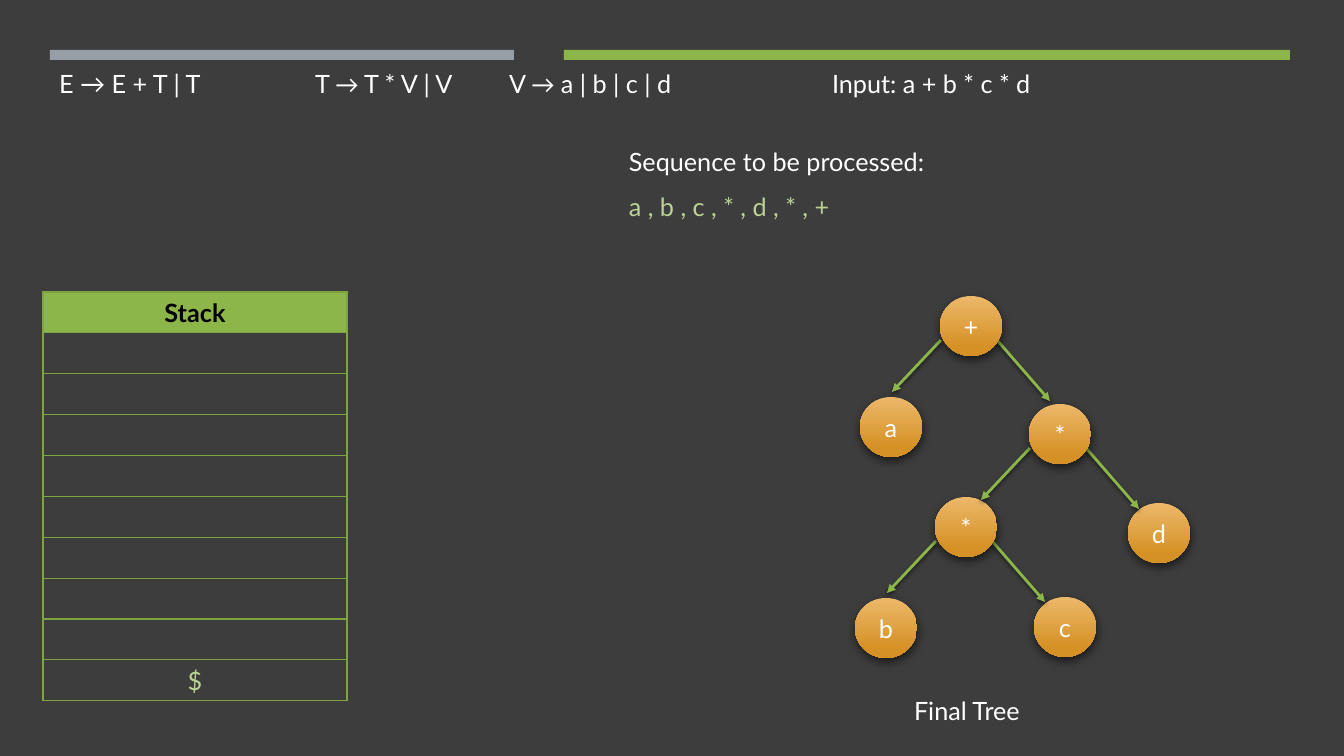
from dataclasses import dataclass

from lxml import etree
from pptx import Presentation
from pptx.dml.color import RGBColor
from pptx.enum.shapes import MSO_CONNECTOR, MSO_SHAPE
from pptx.enum.text import MSO_ANCHOR, MSO_AUTO_SIZE, PP_ALIGN
from pptx.oxml.ns import qn
from pptx.util import Pt

RECT, OVAL = MSO_SHAPE.RECTANGLE, MSO_SHAPE.OVAL
STRAIGHT = MSO_CONNECTOR.STRAIGHT
LEFT, CENTER = PP_ALIGN.LEFT, PP_ALIGN.CENTER
MIDDLE, NO_FIT = MSO_ANCHOR.MIDDLE, MSO_AUTO_SIZE.NONE
TITLE_ONLY = 5
EMU_PER_PX = 914400 / 100.8


@dataclass(frozen=True)
class Theme:
    back: str = "3D3D3D"
    text: str = "FFFFFF"
    dark: str = "000000"
    gray: str = "969FA7"
    green: str = "8CB64A"
    border: str = "7EA442"
    pale: str = "BAD392"
    node_top: str = "ECB86A"
    node_bottom: str = "D69126"
    font: str = "Lato"
    arrow_font: str = "Calibri"
    size: int = 18


def px(*values):
    return [round(v * EMU_PER_PX) for v in values]


def rgb(color):
    return RGBColor.from_string(color)


def sub(parent, tag, **attrs):
    return etree.SubElement(parent, qn(tag), {k: str(v) for k, v in attrs.items()})


class Deck:
    def __init__(self, theme):
        self.theme = theme
        self.prs = Presentation()
        self.prs.slide_width, self.prs.slide_height = px(1344, 756)
        self.s = self.prs.slides.add_slide(self.prs.slide_layouts[TITLE_ONLY])
        fill = self.s.background.fill
        fill.solid()
        fill.fore_color.rgb = rgb(theme.back)

    def style(self, p, color, align=LEFT, spacing=None, bold=False, font=None):
        p.alignment = align
        if spacing:
            p.line_spacing = spacing
        p.font.size = Pt(self.theme.size)
        p.font.bold = bold
        p.font.name = font or self.theme.font
        p.font.color.rgb = rgb(color)

    def shadow(self, sp, alpha, blur, dist, angle):
        effects = sub(sp._element.spPr, "a:effectLst")
        outer = sub(effects, "a:outerShdw", blurRad=Pt(blur), dist=Pt(dist),
                    dir=angle * 60000, algn="ctr", rotWithShape=0)
        color = sub(outer, "a:srgbClr", val=self.theme.dark)
        sub(color, "a:alpha", val=alpha * 1000)

    def title(self, box, runs, tabs):
        sp = self.s.shapes.title
        sp.left, sp.top, sp.width, sp.height = px(*box)
        tf = sp.text_frame
        tf.auto_size, tf.vertical_anchor, tf.word_wrap = NO_FIT, MIDDLE, True
        p = tf.paragraphs[0]
        tab_list = sub(p._p.get_or_add_pPr(), "a:tabLst")
        for pos in px(*tabs):
            sub(tab_list, "a:tab", pos=pos, algn="l")
        self.style(p, self.theme.text, spacing=1.5)
        for text, font in runs:
            r = p.add_run()
            r.text = text
            r.font.name = font

    def bar(self, box, color):
        sp = self.s.shapes.add_shape(RECT, *px(*box))
        sp.shadow.inherit = False
        sp.fill.solid()
        sp.fill.fore_color.rgb = rgb(color)
        sp.line.fill.background()

    def text(self, box, lines, align=LEFT):
        tf = self.s.shapes.add_textbox(*px(*box)).text_frame
        tf.word_wrap = True
        for i, (line, color) in enumerate(lines):
            p = tf.add_paragraph() if i else tf.paragraphs[0]
            p.text = line
            self.style(p, color, align, spacing=1.5)

    def borders(self, cell):
        tc_pr = cell._tc.get_or_add_tcPr()
        for i, side in enumerate(("a:lnL", "a:lnR", "a:lnT", "a:lnB")):
            ln = etree.Element(qn(side), w=str(Pt(1)))
            sub(sub(ln, "a:solidFill"), "a:srgbClr", val=self.theme.border)
            tc_pr.insert(i, ln)

    def stack(self, box, values):
        table = self.s.shapes.add_table(len(values), 1, *px(*box)).table
        for i, value in enumerate(values):
            cell = table.cell(i, 0)
            cell.text = value
            cell.vertical_anchor = MIDDLE
            p = cell.text_frame.paragraphs[0]
            if i == 0:
                cell.fill.solid()
                cell.fill.fore_color.rgb = rgb(self.theme.green)
                self.style(p, self.theme.dark, CENTER, bold=True)
            else:
                cell.fill.background()
                self.style(p, self.theme.pale, CENTER)
            self.borders(cell)

    def arrow(self, x1, y1, x2, y2):
        sp = self.s.shapes.add_connector(STRAIGHT, *px(x1, y1, x2, y2))
        sp.line.color.rgb = rgb(self.theme.green)
        sp.line.width = Pt(2)
        sub(sp.line._get_or_add_ln(), "a:tailEnd", type="triangle")
        self.shadow(sp, 55, 3, 2, 90)

    def node(self, label, x, y):
        sp = self.s.shapes.add_shape(OVAL, *px(x, y, 62, 60))
        sp.fill.gradient()
        sp.fill.gradient_angle = 270
        top, bottom = sp.fill.gradient_stops
        top.color.rgb, top.position = rgb(self.theme.node_top), 0
        bottom.color.rgb, bottom.position = rgb(self.theme.node_bottom), 0.84
        sp.line.fill.background()
        self.shadow(sp, 60, 7, 3, 84)
        tf = sp.text_frame
        tf.vertical_anchor = MIDDLE
        tf.text = label
        self.style(tf.paragraphs[0], self.theme.text, CENTER)

    def branch(self, label, x, y):
        self.arrow(x + 1, y + 44, x - 48, y + 96)
        self.arrow(x + 57, y + 44, x + 110, y + 105)
        self.node(label, x, y)


def main():
    theme = Theme()
    deck = Deck(theme)
    deck.title((49, 55, 1212, 42), [
        ("E → E + T | T\tT ", theme.font),
        ("→", theme.arrow_font),
        (" T * V | V\tV ", theme.font),
        ("→", theme.arrow_font),
        (" a | b | c | d\tInput: a + b * c * d", theme.font),
    ], tabs=(256, 450, 773))
    deck.bar((50, 50, 464, 10), theme.gray)
    deck.bar((564, 50, 726, 10), theme.green)
    deck.stack((43, 292, 304, 409), ["Stack"] + [""] * 8 + ["$"])
    deck.text((619, 126, 591, 98), [
        ("Sequence to be processed:", theme.text),
        ("a , b , c , * , d , * , +", theme.pale),
    ])
    deck.node("b", 855, 598)
    deck.node("c", 1034, 597)
    deck.branch("*", 935, 497)
    deck.text((882, 675, 170, 52), [("Final Tree", theme.text)], CENTER)
    deck.node("d", 1128, 503)
    deck.branch("*", 1029, 404)
    deck.node("a", 860, 397)
    deck.branch("+", 940, 296)
    deck.prs.save("out.pptx")


if __name__ == "__main__":
    main()
